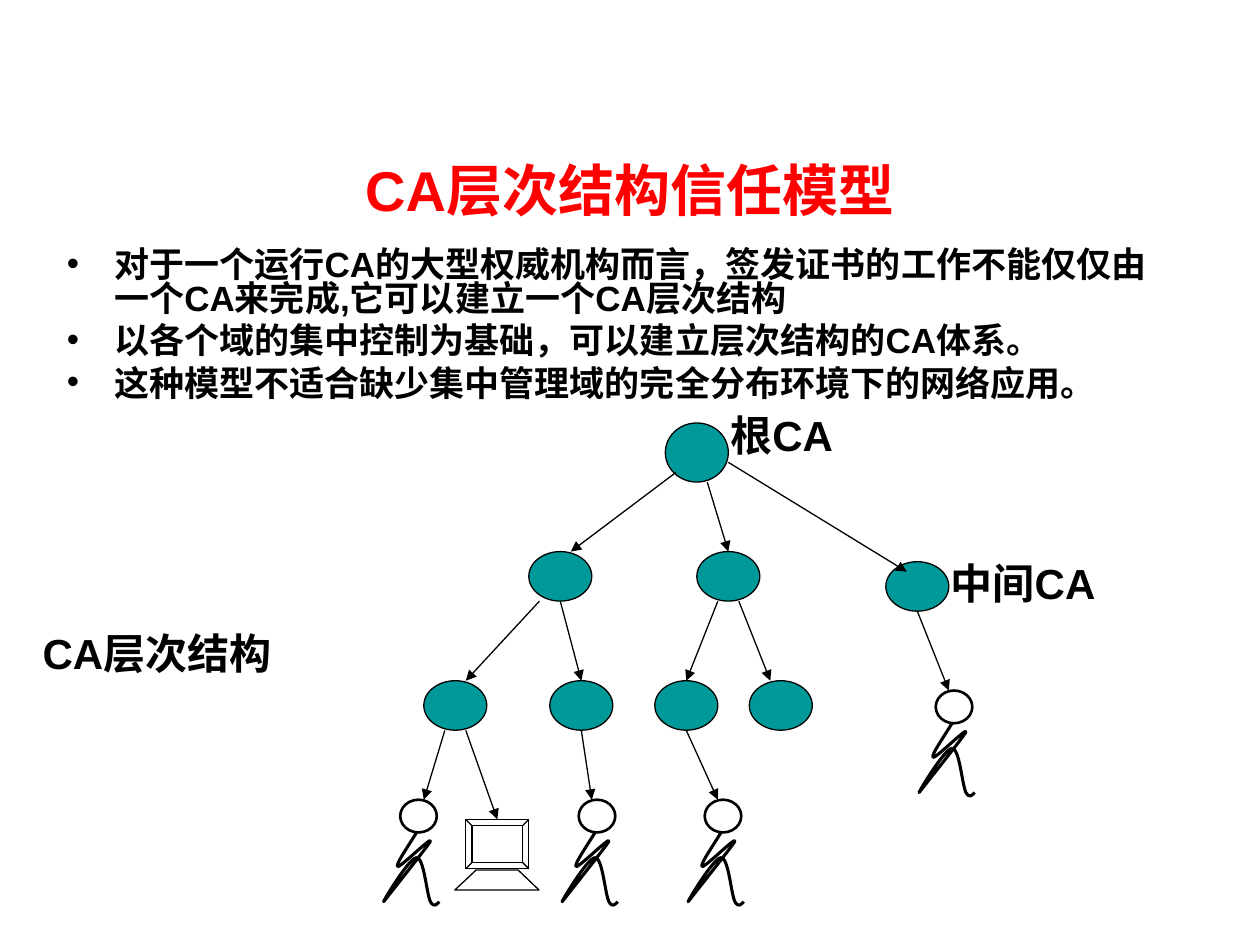
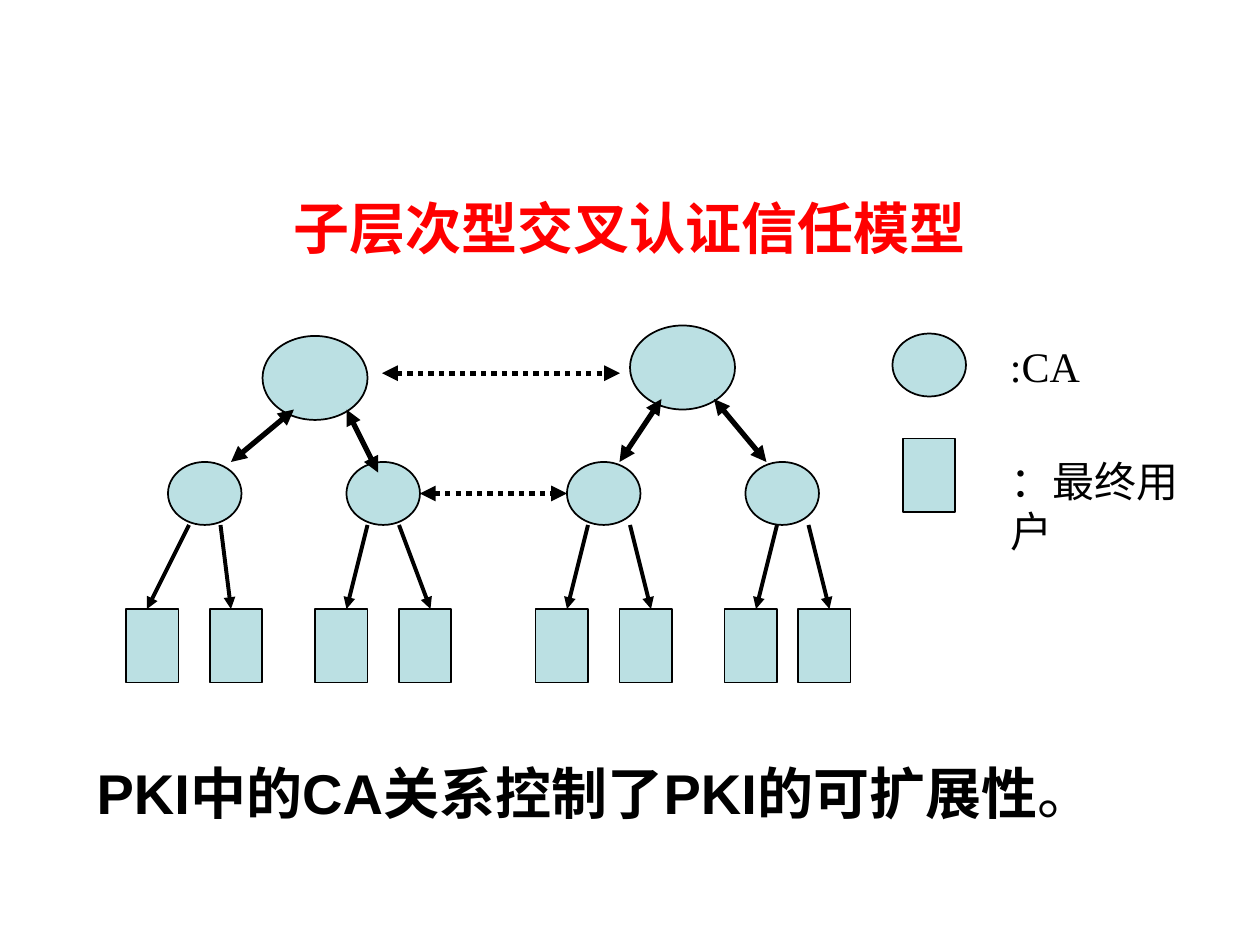
from pptx import Presentation
from pptx.dml.color import RGBColor
from pptx.enum.dml import MSO_LINE
from pptx.enum.shapes import MSO_CONNECTOR, MSO_SHAPE as SHAPE
from pptx.enum.text import MSO_ANCHOR, MSO_AUTO_SIZE, PP_ALIGN
from pptx.oxml.ns import qn
from pptx.util import Pt
from lxml import etree

COLORS = {"title": "FF0000", "ink": "000000", "ca": "009999", "pale": "BBE0E3"}
LATIN, SERIF, CJK = "Arial", "Times New Roman", "Noto Sans CJK SC"

# Walking figure, relative to the top left corner of its head:
# a start point, then three points for each cubic curve
WALK = [
    (9.4, 18.7),
    (3.6, 28.1), (-2.9, 37.4), (-1.4, 38.2),
    (0, 38.9), (18.7, 20.2), (17.3, 23.8),
    (15.8, 26.6), (-7.9, 56.2), (-9.4, 58.3),
    (-10.8, 59.8), (5, 33.1), (9.4, 33.1),
    (13.7, 33.1), (15.1, 54), (17.3, 58.3),
    (19.4, 61.9), (20.9, 59.8), (22.3, 58.3),
]
STAND = [(41.9, 40.3), (-6.3, 40.3), (6, 28.8), (29.8, 28.8)]


def rgb(name):
    return RGBColor.from_string(COLORS[name])


def place(sp, box):
    sp.left, sp.top, sp.width, sp.height = (Pt(v) for v in box)


def format_run(r, size, bold=True, color="ink", font=LATIN):
    r.font.size, r.font.bold, r.font.name = Pt(size), bold, font
    r.font.color.rgb = rgb(color)
    rpr = r.font._element
    rpr.find(qn("a:latin")).addnext(rpr.makeelement(qn("a:ea"), {"typeface": CJK}))


def set_title(s, text, box, spacing=1.0):
    sp = s.shapes.title
    place(sp, box)
    tf = sp.text_frame
    tf.text = text
    tf.auto_size = MSO_AUTO_SIZE.NONE
    tf.vertical_anchor = MSO_ANCHOR.MIDDLE
    p = tf.paragraphs[0]
    p.alignment, p.line_spacing = PP_ALIGN.CENTER, spacing
    format_run(p.runs[0], 32, color="title")


def set_body(s, lines, box, size, spacing, before, bullet=None):
    """Fill the body with hanging paragraphs, bulleted if a bullet is given."""
    sp = s.placeholders[1]
    place(sp, box)
    tf = sp.text_frame
    tf.text = "\n".join(lines)
    tf.auto_size = MSO_AUTO_SIZE.NONE
    for p in tf.paragraphs:
        p.line_spacing, p.space_before = spacing, Pt(before)
        ppr = p._p.get_or_add_pPr()
        ppr.set("marL", str(Pt(27)))
        ppr.set("indent", str(-Pt(27)))
        ppr.set("hangingPunct", "0")
        if bullet:
            etree.SubElement(ppr, qn("a:buChar"), char=bullet)
        else:
            etree.SubElement(ppr, qn("a:buNone"))
        format_run(p.runs[0], size)
    return tf


def add_label(s, parts, box, bold=True, font=LATIN, wrap=True):
    sp = s.shapes.add_textbox(*(Pt(v) for v in box))
    tf = sp.text_frame
    tf.word_wrap = wrap
    tf.auto_size = MSO_AUTO_SIZE.SHAPE_TO_FIT_TEXT
    tf.text = parts
    format_run(tf.paragraphs[0].runs[0], 24, bold, font=font)


def style_outline(sp, weight, fill=None):
    sp.shadow.inherit = False
    if fill:
        sp.fill.solid()
        sp.fill.fore_color.rgb = rgb(fill)
    else:
        sp.fill.background()
    sp.line.color.rgb = rgb("ink")
    sp.line.width = Pt(weight)


def add_node(s, kind, box, weight, fill=None):
    sp = s.shapes.add_shape(kind, *(Pt(v) for v in box))
    style_outline(sp, weight, fill)
    return sp


def add_outline(s, x, y, offsets, weight, close=False):
    points = [(Pt(x + dx), Pt(y + dy)) for dx, dy in offsets]
    builder = s.shapes.build_freeform(*points[0], scale=1.0)
    builder.add_line_segments(points[1:], close=close)
    sp = builder.convert_to_shape()
    style_outline(sp, weight)
    return sp


def bend_segments(sp):
    """Turn each three line segments into one cubic curve."""
    segments = list(sp._element.iter(qn("a:lnTo")))
    for first, second, third in zip(segments[::3], segments[1::3], segments[2::3]):
        first.tag = qn("a:cubicBezTo")
        for segment in (second, third):
            first.append(segment[0])
            segment.getparent().remove(segment)


def add_person(s, x, y):
    add_node(s, SHAPE.OVAL, (x, y, 20.9, 18.7), 1.5)
    bend_segments(add_outline(s, x, y, WALK, 1.75))


def add_computer(s, x, y):
    screen = add_node(s, SHAPE.BEVEL, (x, y, 36, 28.1), 0.75)
    screen.adjustments[0] = 0.125
    add_outline(s, x, y, STAND, 0.75, close=True)


def add_arrow(s, start, end, weight, both=False, dotted=False):
    sp = s.shapes.add_connector(MSO_CONNECTOR.STRAIGHT, *(Pt(v) for v in start + end))
    sp.line.color.rgb = rgb("ink")
    sp.line.width = Pt(weight)
    if dotted:
        sp.line.dash_style = MSO_LINE.ROUND_DOT
    sp_pr = sp._element.spPr
    ln = sp_pr.find(qn("a:ln"))
    for tag in ("a:headEnd", "a:tailEnd") if both else ("a:tailEnd",):
        etree.SubElement(ln, qn(tag), type="triangle")
    etree.SubElement(sp_pr, qn("a:effectLst"))


def build_hierarchy(s):
    set_title(s, "CA层次结构信任模型", (36, 83, 648, 49.7))
    set_body(s, [
        "对于一个运行CA的大型权威机构而言，签发证书的工作不能仅仅由一个CA来完成,它可以建立一个CA层次结构",
        "以各个域的集中控制为基础，可以建立层次结构的CA体系。",
        "这种模型不适合缺少集中管理域的完全分布环境下的网络应用。",
    ], (31, 139.7, 648.7, 97.2), 20, 0.8, 5, "•")

    add_node(s, SHAPE.OVAL, (380.2, 241.7, 36, 33.8), 0.75, "ca")
    middle = [(302.2, 315.2), (398.2, 315.2), (506.2, 321)]
    lower = [(x, 389) for x in (242.2, 314.2, 374.2, 428.2)]
    for x, y in middle + lower:
        add_node(s, SHAPE.OVAL, (x, y, 36, 28.3), 0.75, "ca")

    links = [((386.2, 270), (326.2, 315.2)), ((404.2, 275.6), (416.2, 315.2)),
             ((416.2, 264.2), (518.2, 326.7)), ((524.2, 349.3), (542.2, 394.6)),
             ((266.2, 417.4), (284.2, 468.2))]
    links += [((a, 343.6), (b, 389)) for a, b in
              ((308.2, 266.2), (320.2, 332.2), (410.2, 392.2), (422.2, 440.2))]
    links += [((a, 417.4), (b, 457)) for a, b in
              ((254.2, 242.2), (332.2, 338.2), (392.2, 410.2))]
    for start, end in links:
        add_arrow(s, start, end, 0.75)

    for x, y in ((228.7, 457), (330.7, 457), (402.7, 457), (534.7, 394.6)):
        add_person(s, x, y)
    add_computer(s, 266.2, 468.3)

    add_label(s, "根CA", (410.2, 230.4, 120, 36))
    add_label(s, "中间CA", (536.2, 315.2, 120, 36))
    add_label(s, "CA层次结构", (17.3, 355, 150.5, 36), wrap=False)


def build_cross_certification(s):
    set_title(s, "子层次型交叉认证信任模型", (36, 93.6, 648, 68.4), 1.1)
    tf = set_body(s, ["PKI中的CA关系控制了PKI的可扩展性"],
                  (48, 426, 612, 60), 32, 1.1, 8)
    p = tf.paragraphs[0]
    p.alignment = PP_ALIGN.JUSTIFY
    r = p.add_run()
    r.text = "。"
    format_run(r, 32, bold=False)

    for x, y in ((150, 192), (360, 186)):
        add_node(s, SHAPE.OVAL, (x, y, 60, 48), 1, "pale")
    legend_ca, legend_user = (510, 190.6), (516, 250.6)
    for x, y in [(x, 264) for x in (96, 198, 324, 426)] + [legend_ca]:
        add_node(s, SHAPE.OVAL, (x, y, 42, 36), 1, "pale")
    users = [(x, 348) for x in (72, 120, 180, 228, 306, 354, 414, 456)]
    for x, y in users + [legend_user]:
        add_node(s, SHAPE.RECTANGLE, (x, y, 30, 42), 1, "pale")

    for start, end in (((132, 264), (168, 234)), ((198, 234), (216, 270)),
                       ((378, 228), (354, 264)), ((408, 228), (438, 264))):
        add_arrow(s, start, end, 3, both=True)
    for a, b in ((108, 84), (126, 132), (210, 198), (228, 246),
                 (336, 324), (360, 372), (444, 432), (462, 474)):
        add_arrow(s, (a, 300), (b, 348), 2.25)
    for a, b, y in ((240, 324, 282), (218.3, 354.3, 213.3)):
        add_arrow(s, (a, y), (b, y), 3, both=True, dotted=True)

    add_label(s, ":CA", (570, 190.8, 84, 36), bold=False, font=SERIF)
    add_label(s, "：最终用户", (570.2, 256.5, 134, 36), bold=False, font=SERIF, wrap=False)


def main():
    prs = Presentation()
    prs.slide_width, prs.slide_height = Pt(720), Pt(540)
    for build in (build_hierarchy, build_cross_certification):
        build(prs.slides.add_slide(prs.slide_layouts[1]))
    prs.save("out.pptx")


if __name__ == "__main__":
    main()
